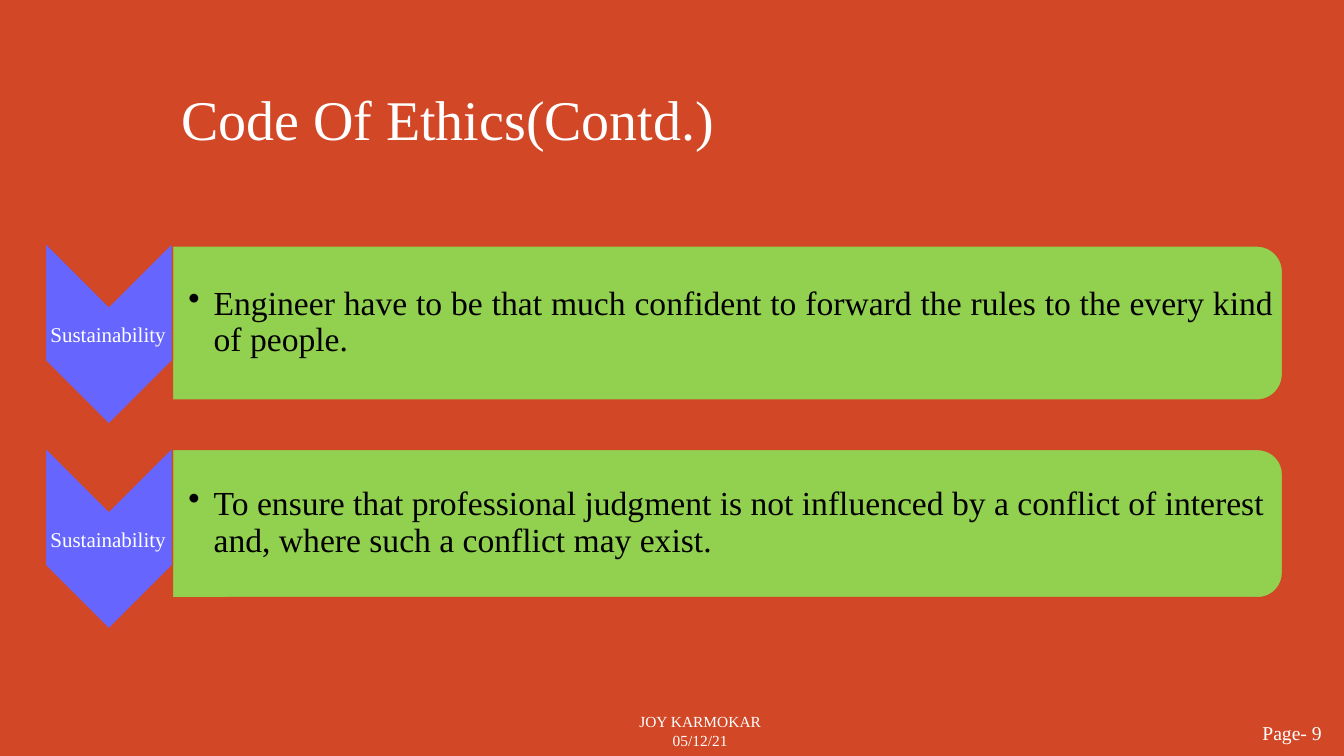
from dataclasses import dataclass

from lxml.etree import SubElement
from pptx import Presentation
from pptx.dml.color import RGBColor
from pptx.enum.shapes import MSO_SHAPE
from pptx.enum.text import MSO_ANCHOR, PP_ALIGN
from pptx.oxml.ns import qn
from pptx.util import Inches, Pt


@dataclass(frozen=True)
class Theme:
    """Colours, font and type sizes of the slide."""

    font: str = "Times New Roman"
    background: RGBColor = RGBColor(0xD2, 0x47, 0x26)
    panel: RGBColor = RGBColor(0x92, 0xD0, 0x50)
    chevron: RGBColor = RGBColor(0x66, 0x66, 0xFF)
    light: RGBColor = RGBColor(0xFF, 0xFF, 0xFF)
    dark: RGBColor = RGBColor(0, 0, 0)
    title: int = 40
    body: int = 24
    label: int = 15
    page_number: int = 14
    footer: int = 11


class SlideBuilder:
    """Draws styled elements on the current slide."""

    def __init__(self, page, theme):
        self.page = page
        self.theme = theme
        page.background.fill.solid()
        page.background.fill.fore_color.rgb = theme.background

    def text(self, area, lines, size, color=None, align=PP_ALIGN.LEFT, insets=None):
        """Add a text box; given insets also centre it vertically."""
        box = self.page.shapes.add_textbox(*map(Inches, area))
        frame = box.text_frame
        frame.word_wrap = True
        if insets:
            frame.vertical_anchor = MSO_ANCHOR.MIDDLE
            (frame.margin_left, frame.margin_top,
             frame.margin_right, frame.margin_bottom) = map(Inches, insets)
        frame.text = "\n".join(lines)
        for para in frame.paragraphs:
            para.alignment = align
            para.font.name = self.theme.font
            para.font.size = Pt(size)
            para.font.color.rgb = color or self.theme.light
        return box

    def bullet(self, area, line, align):
        """Add a bulleted statement."""
        box = self.text(area, [line], self.theme.body, self.theme.dark, align,
                        (0.16, 0.01, 0.01, 0.01))
        para = box.text_frame.paragraphs[0]
        properties = para._p.get_or_add_pPr()
        properties.set("marL", str(Inches(0.25)))
        properties.set("indent", str(-Inches(0.25)))
        mark = SubElement(properties, qn("a:buChar"))
        mark.set("char", "•")
        properties.insert(0, mark)
        para.level = 1
        para.line_spacing = 0.9

    def turned_shape(self, kind, area, fill):
        """Add a preset shape turned a quarter clockwise."""
        shape = self.page.shapes.add_shape(kind, *map(Inches, area))
        shape.rotation = 90
        shape.shadow.inherit = False
        shape.fill.solid()
        shape.fill.fore_color.rgb = fill
        shape.line.color.rgb = self.theme.background
        shape.line.width = Pt(1)

    def panel(self, top, height, line, align):
        """Add a green panel with its statement."""
        left, width = 1.71, 11.01
        area = (left + (width - height) / 2, top + (height - width) / 2, height, width)
        self.turned_shape(MSO_SHAPE.ROUND_2_SAME_RECTANGLE, area, self.theme.panel)
        self.bullet((left, top + 0.07, 10.93, height - 0.15), line, align)

    def chevron(self, top, label):
        """Add a downward chevron with its label."""
        self.turned_shape(MSO_SHAPE.CHEVRON, (0.18, top, 1.8, 1.26), self.theme.chevron)
        self.text((0.49, top + 0.24, 1.26, 0.79), [label], self.theme.label,
                  insets=(0.01,) * 4)


def main():
    """Build and save the slide."""
    deck = Presentation()
    deck.slide_width, deck.slide_height = Inches(13.33), Inches(7.5)
    theme = Theme()
    builder = SlideBuilder(deck.slides.add_slide(deck.slide_layouts[6]), theme)
    builder.text((12.29, 7.1, 1.05, 0.34), ["Page- 9"], theme.page_number,
                 align=PP_ALIGN.CENTER)
    builder.text((6.13, 7.02, 1.63, 0.47), ["JOY KARMOKAR", "05/12/21"], theme.footer,
                 align=PP_ALIGN.CENTER)
    builder.text((1.7, 0.79, 6.06, 0.77), ["Code Of Ethics(Contd.)"], theme.title)
    builder.panel(2.44, 1.53, "Engineer have to be that much confident to forward "
                  "the rules to the every kind of people.", PP_ALIGN.JUSTIFY)
    builder.panel(4.46, 1.47, "To ensure that professional judgment is not influenced by "
                  "a conflict of interest and, where such a conflict may exist.",
                  PP_ALIGN.LEFT)
    for top in (2.68, 4.71):
        builder.chevron(top, "Sustainability")
    deck.save("out.pptx")


if __name__ == "__main__":
    main()
